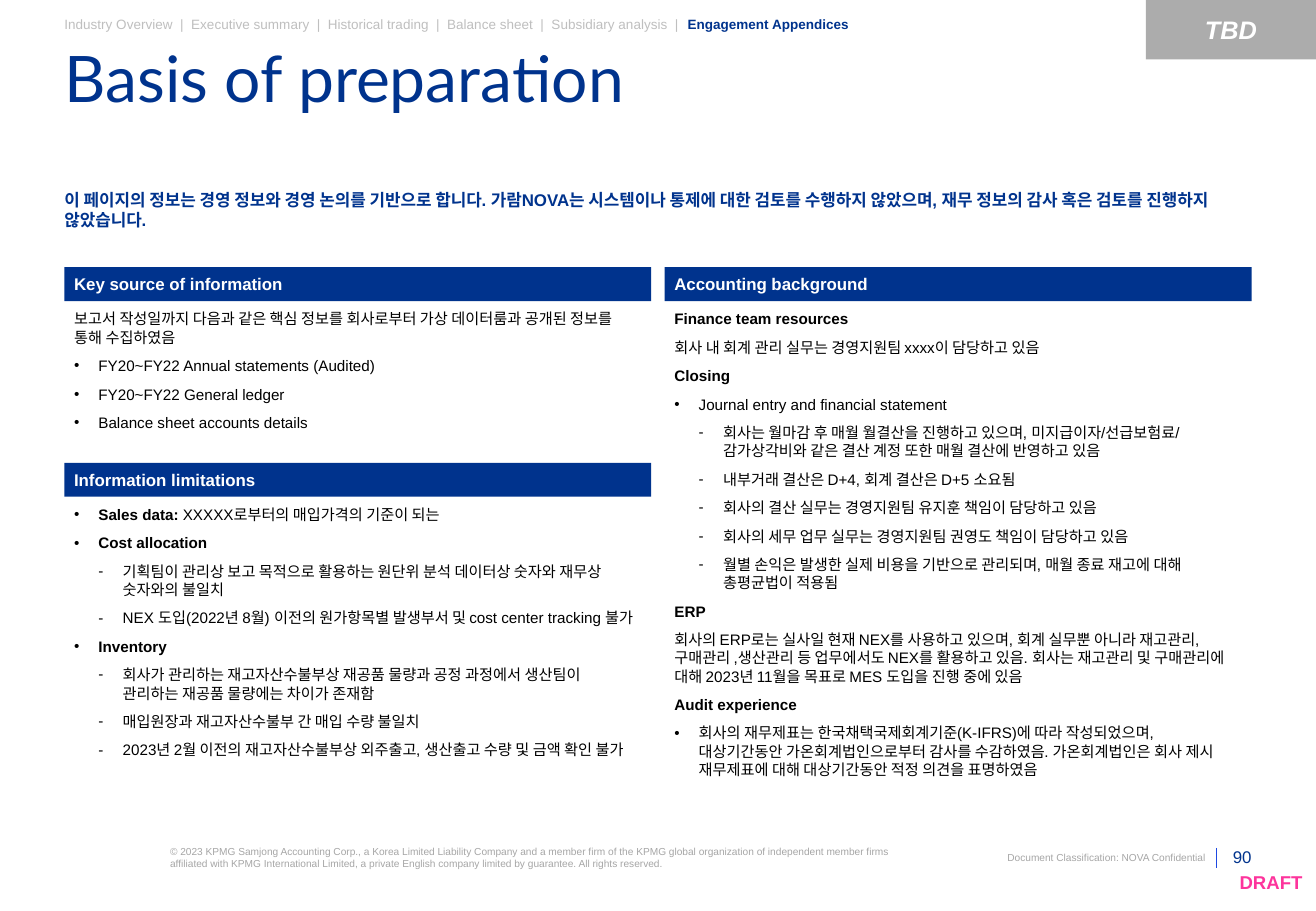
from lxml import etree
from pptx import Presentation
from pptx.dml.color import RGBColor
from pptx.enum.shapes import MSO_CONNECTOR, MSO_SHAPE
from pptx.enum.text import MSO_ANCHOR, MSO_AUTO_SIZE, PP_ALIGN
from pptx.oxml.ns import qn
from pptx.util import Inches, Pt

NAVY = RGBColor(0x00, 0x33, 0x8D)
BLUE = RGBColor(0x1E, 0x49, 0xE2)
PINK = RGBColor(0xFD, 0x34, 0x9C)
BLACK = RGBColor(0x00, 0x00, 0x00)
WHITE = RGBColor(0xFF, 0xFF, 0xFF)
TAG_GRAY = RGBColor(0xAC, 0xAC, 0xAC)
NAV_GRAY = RGBColor(0xBF, 0xBF, 0xBF)
FOOT_GRAY = RGBColor(0xA6, 0xA6, 0xA6)

LEFT, RIGHT_COL, COL_W = 0.53, 5.47, 4.83
FULL_W, HEAD_H, LIST_GAP = 9.75, 0.28, 0.35
INDENT = 0.2

# Paragraph kinds: (outline level, bullet, left margin in indent steps)
PLAIN, BULLET, DASH = (0, None, 0), (1, "•", 1), (2, "-", 2)

SECTIONS = ["Industry Overview", "Executive summary", "Historical trading",
            "Balance sheet", "Subsidiary analysis"]
LEAD = ("이 페이지의 정보는 경영 정보와 경영 논의를 기반으로 합니다. 가람NOVA는 시스템이나 통제에 대한 "
        "검토를 수행하지 않았으며, 재무 정보의 감사 혹은 검토를 진행하지 않았습니다.")
COPYRIGHT = ("© 2023 KPMG Samjong Accounting Corp., a Korea Limited Liability Company and a member "
             "firm of the KPMG global organization of independent member firms affiliated with KPMG "
             "International Limited, a private English company limited by guarantee. All rights reserved.")

# Each item: (kind, bold text, regular text)
KEY_SOURCES = [
    (PLAIN, "", "보고서 작성일까지 다음과 같은 핵심 정보를 회사로부터 가상 데이터룸과 공개된 정보를 통해 수집하였음"),
    (BULLET, "", "FY20~FY22 Annual statements (Audited)"),
    (BULLET, "", "FY20~FY22 General ledger"),
    (BULLET, "", "Balance sheet accounts details"),
]
LIMITATIONS = [
    (BULLET, "Sales data: ", "XXXXX로부터의 매입가격의 기준이 되는"),
    (BULLET, "Cost allocation", ""),
    (DASH, "", "기획팀이 관리상 보고 목적으로 활용하는 원단위 분석 데이터상 숫자와 재무상 숫자와의 불일치"),
    (DASH, "", "NEX 도입(2022년 8월) 이전의 원가항목별 발생부서 및 cost center tracking 불가"),
    (BULLET, "Inventory", ""),
    (DASH, "", "회사가 관리하는 재고자산수불부상 재공품 물량과 공정 과정에서 생산팀이 관리하는 재공품 물량에는 "
               "차이가 존재함"),
    (DASH, "", "매입원장과 재고자산수불부 간 매입 수량 불일치"),
    (DASH, "", "2023년 2월 이전의 재고자산수불부상 외주출고, 생산출고 수량 및 금액 확인 불가"),
]
ACCOUNTING = [
    (PLAIN, "Finance team resources", ""),
    (PLAIN, "", "회사 내 회계 관리 실무는 경영지원팀 xxxx이 담당하고 있음"),
    (PLAIN, "Closing", ""),
    (BULLET, "", "Journal entry and financial statement"),
    (DASH, "", "회사는 월마감 후 매월 월결산을 진행하고 있으며, 미지급이자/선급보험료/ 감가상각비와 같은 결산 계정 "
               "또한 매월 결산에 반영하고 있음"),
    (DASH, "", "내부거래 결산은 D+4, 회계 결산은 D+5 소요됨"),
    (DASH, "", "회사의 결산 실무는 경영지원팀 유지훈 책임이 담당하고 있음"),
    (DASH, "", "회사의 세무 업무 실무는 경영지원팀 권영도 책임이 담당하고 있음"),
    (DASH, "", "월별 손익은 발생한 실제 비용을 기반으로 관리되며, 매월 종료 재고에 대해 총평균법이 적용됨"),
    (PLAIN, "ERP", ""),
    (PLAIN, "", "회사의 ERP로는 실사일 현재 NEX를 사용하고 있으며, 회계 실무뿐 아니라 재고관리, 구매관리 "
                ",생산관리 등 업무에서도 NEX를 활용하고 있음. 회사는 재고관리 및 구매관리에 대해 2023년 "
                "11월을 목표로 MES 도입을 진행 중에 있음"),
    (PLAIN, "Audit experience", ""),
    (BULLET, "", "회사의 재무제표는 한국채택국제회계기준(K-IFRS)에 따라 작성되었으며, 대상기간동안 "
                 "가온회계법인으로부터 감사를 수감하였음. 가온회계법인은 회사 제시 재무제표에 대해 대상기간동안 "
                 "적정 의견을 표명하였음"),
]


def place(sp, x, y, w, h):
    sp.left, sp.top, sp.width, sp.height = (Inches(v) for v in (x, y, w, h))


def set_frame(sp, anchor=MSO_ANCHOR.TOP, side=0, wrap=True):
    tf = sp.text_frame
    tf.auto_size = MSO_AUTO_SIZE.NONE
    tf.word_wrap = wrap
    tf.vertical_anchor = anchor
    tf.margin_left = tf.margin_right = Inches(side)
    tf.margin_top = tf.margin_bottom = 0
    return tf


def set_bullet(p, char, steps):
    pPr = p._p.get_or_add_pPr()
    pPr.set("marL", str(Inches(INDENT * steps)))
    pPr.set("indent", str(-Inches(INDENT) if char else 0))
    if char:
        etree.SubElement(pPr, qn("a:buChar")).set("char", char)
    else:
        etree.SubElement(pPr, qn("a:buNone"))


def set_spacing(p, line=1.0, after=0):
    p.line_spacing, p.space_before, p.space_after = line, Pt(0), Pt(after)


def add_run(p, text, size, color, bold=False, font="Arial"):
    r = p.add_run()
    r.text = text
    r.font.name, r.font.size, r.font.bold = font, Pt(size), bold
    r.font.color.rgb = color
    return r


def add_text(slide, box, text, size, color, bold=False, align=PP_ALIGN.LEFT,
             anchor=MSO_ANCHOR.TOP, wrap=True):
    sp = slide.shapes.add_textbox(*(Inches(v) for v in box))
    p = set_frame(sp, anchor, wrap=wrap).paragraphs[0]
    p.alignment = align
    add_run(p, text, size, color, bold)
    return p


def add_block(slide, box, fill):
    sp = slide.shapes.add_shape(MSO_SHAPE.RECTANGLE, *(Inches(v) for v in box))
    sp.shadow.inherit = False
    sp.fill.solid()
    sp.fill.fore_color.rgb = fill
    sp.line.fill.background()
    return sp


def add_header(slide, title, lead):
    nav = add_text(slide, (LEFT, 0.12, 8.77, 0.14),
                   "".join(f"{name}  |  " for name in SECTIONS), 8, NAV_GRAY)
    set_spacing(nav, 1.1)
    add_run(nav, "Engagement Appendices", 8, NAVY, True)

    tag = add_block(slide, (9.43, 0, 1.4, 0.49), TAG_GRAY)
    p = set_frame(tag, MSO_ANCHOR.MIDDLE, 0.06).paragraphs[0]
    p.alignment = PP_ALIGN.CENTER
    add_run(p, "TBD", 15, WHITE, True).font.italic = True

    place(title, LEFT, 0.49, FULL_W, 0.79)
    p = set_frame(title).paragraphs[0]
    p.alignment = PP_ALIGN.LEFT
    set_spacing(p, 0.7)
    add_run(p, "Basis of preparation", 38, NAVY, font="Lato")

    place(lead, LEFT, 1.56, FULL_W, 0.54)
    tf = set_frame(lead)
    tf.margin_right = Inches(0.2)
    p = tf.paragraphs[0]
    set_bullet(p, None, 0)
    set_spacing(p)
    add_run(p, LEAD, 10, NAVY, True)


def add_panel(slide, body, x, y, list_h, heading, items):
    """Heading bar with its list below, the top left corner at x, y."""
    bar = add_block(slide, (x, y, COL_W, HEAD_H), NAVY)
    p = set_frame(bar, MSO_ANCHOR.MIDDLE, 0.08).paragraphs[0]
    p.alignment = PP_ALIGN.LEFT
    add_run(p, heading, 10, WHITE, True)

    place(body, x, y + LIST_GAP, COL_W, list_h)
    tf = set_frame(body, side=0.08)
    tf.margin_right = Inches(0.12)
    for i, ((level, char, steps), bold, regular) in enumerate(items):
        p = tf.add_paragraph() if i else tf.paragraphs[0]
        p.level = level
        set_bullet(p, char, steps)
        set_spacing(p, after=6)
        for text, is_bold in ((bold, True), (regular, False)):
            if text:
                add_run(p, text, 9, BLACK, is_bold)


def add_footer(slide):
    add_text(slide, (1.4, 6.96, 6, 0.2), COPYRIGHT, 6, FOOT_GRAY)
    add_text(slide, (8.46, 7.01, 1.46, 0.1), "Document Classification: NOVA Confidential",
             6, FOOT_GRAY, align=PP_ALIGN.RIGHT, wrap=False)
    add_text(slide, (10.03, 6.98, 0.27, 0.16), "90", 10, NAVY,
             align=PP_ALIGN.RIGHT, anchor=MSO_ANCHOR.BOTTOM)
    add_text(slide, (10.07, 7.13, 0.65, 0.27), "DRAFT", 11, PINK, True,
             PP_ALIGN.RIGHT, MSO_ANCHOR.MIDDLE)
    rule = slide.shapes.add_connector(MSO_CONNECTOR.STRAIGHT, Inches(10.01), Inches(6.98),
                                      Inches(10.01), Inches(7.15))
    rule.line.color.rgb = BLUE
    rule.line.width = Pt(0.5)
    etree.SubElement(rule._element.spPr, qn("a:effectLst"))


def main():
    prs = Presentation()
    prs.slide_width, prs.slide_height = Inches(10.83), Inches(7.5)
    slide = prs.slides.add_slide(prs.slide_layouts.get_by_name("Comparison"))
    title, lead, accounting, sources, limits = list(slide.placeholders)[:5]
    add_header(slide, title, lead)
    add_panel(slide, accounting, RIGHT_COL, 2.2, 4.03, "Accounting background", ACCOUNTING)
    add_panel(slide, sources, LEFT, 2.2, 1.66, "Key source of information", KEY_SOURCES)
    add_panel(slide, limits, LEFT, 3.81, 1.66, "Information limitations", LIMITATIONS)
    add_footer(slide)
    prs.save("out.pptx")


if __name__ == "__main__":
    main()
